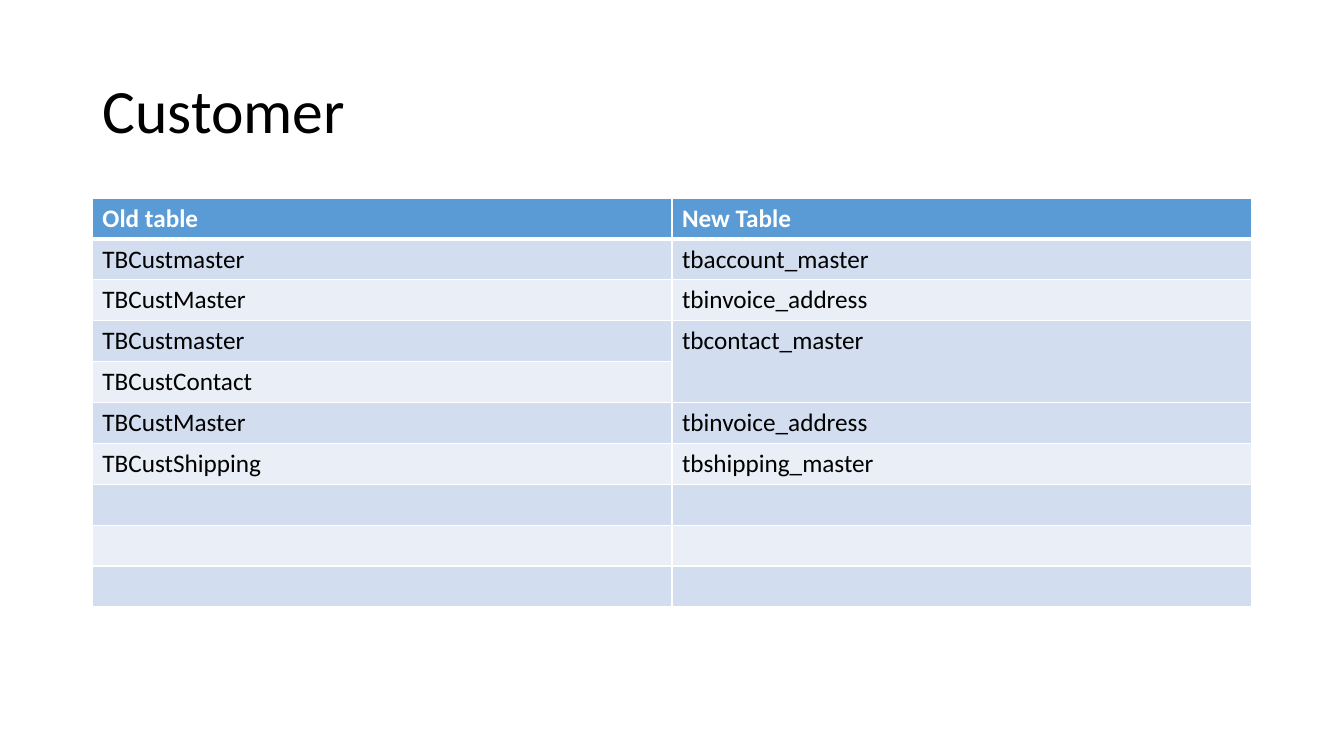
from lxml.etree import SubElement
from pptx import Presentation
from pptx.dml.color import RGBColor
from pptx.enum.text import MSO_ANCHOR, PP_ALIGN
from pptx.oxml.ns import qn
from pptx.util import Pt

BLACK = RGBColor(0x00, 0x00, 0x00)
WHITE = RGBColor(0xFF, 0xFF, 0xFF)
HEADER_BLUE = RGBColor(0x5B, 0x9B, 0xD5)
BANDS = [RGBColor(0xEA, 0xEF, 0xF7), RGBColor(0xD2, 0xDE, 0xEF)]

LEFT, WIDTH = Pt(66), Pt(828)
ROW_HEIGHT = Pt(29.2)
MAPPING = [
    ("Old table", "New Table"),
    ("TBCustmaster", "tbaccount_master"),
    ("TBCustMaster", "tbinvoice_address"),
    ("TBCustmaster", "tbcontact_master"),
    ("TBCustContact", ""),
    ("TBCustMaster", "tbinvoice_address"),
    ("TBCustShipping", "tbshipping_master"),
    ("", ""),
    ("", ""),
    ("", ""),
]
MERGED_ROWS = (3, 4)


def format_font(font, color, **values):
    """Set the font colour and each given font attribute."""
    font.color.rgb = color
    for name, value in values.items():
        setattr(font, name, value)


def add_borders(cell, widths):
    """Draw white cell borders with a width for each side."""
    properties = cell._tc.get_or_add_tcPr()
    for side, width in widths.items():
        line = SubElement(properties, qn(f"a:ln{side}"), w=str(width))
        fill = SubElement(line, qn("a:solidFill"))
        SubElement(fill, qn("a:srgbClr"), val=str(WHITE))


presentation = Presentation()
presentation.slide_width, presentation.slide_height = Pt(960), Pt(540)
slide = presentation.slides.add_slide(presentation.slide_layouts[5])

# Title
title = slide.shapes.title
title_box = {"left": LEFT, "top": Pt(28.8), "width": WIDTH, "height": Pt(104.4)}
for name, value in title_box.items():
    setattr(title, name, value)
title.text_frame.text = "Customer"
title.text_frame.vertical_anchor = MSO_ANCHOR.MIDDLE
paragraph = title.text_frame.paragraphs[0]
paragraph.alignment = PP_ALIGN.LEFT
paragraph.line_spacing = 0.9
format_font(paragraph.runs[0].font, BLACK, name="Calibri", size=Pt(44))

# Table of old and new names
table = slide.shapes.add_table(
    len(MAPPING), 2, LEFT, Pt(141.5), WIDTH, ROW_HEIGHT * len(MAPPING)
).table
for row, names in enumerate(MAPPING):
    table.rows[row].height = ROW_HEIGHT
    is_header = row == 0
    for column, text in enumerate(names):
        cell = table.cell(row, column)
        add_borders(cell, {
            "L": Pt(1),
            "R": Pt(1),
            "T": Pt(3 if row == 1 else 1),
            "B": Pt(3 if is_header else 1),
        })
        cell.fill.solid()
        cell.fill.fore_color.rgb = HEADER_BLUE if is_header else BANDS[row % 2]
        cell.text = text
        format_font(cell.text_frame.paragraphs[0].font,
                    WHITE if is_header else BLACK,
                    name="Calibri", size=Pt(18), bold=is_header)

first, last = MERGED_ROWS
table.cell(first, 1).merge(table.cell(last, 1))

presentation.save("out.pptx")
